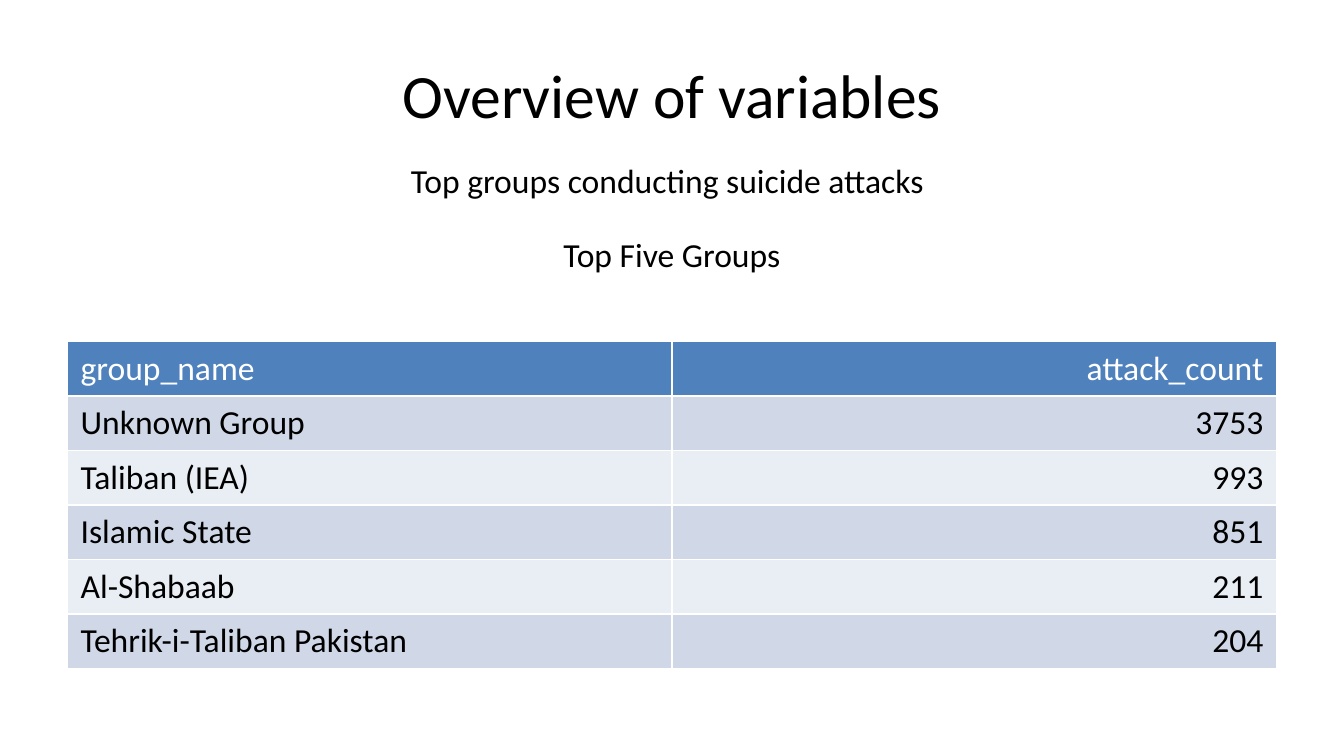
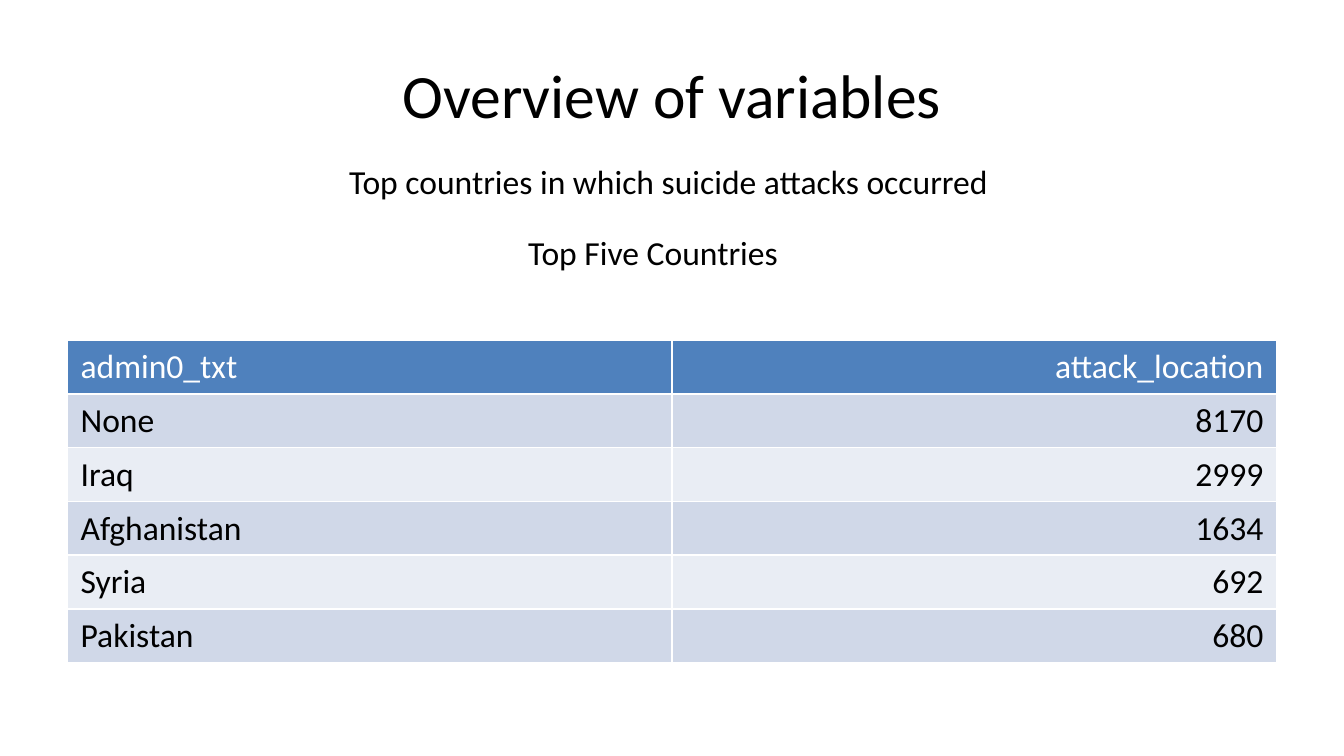
from dataclasses import dataclass

from lxml.etree import SubElement
from pptx import Presentation
from pptx.dml.color import RGBColor
from pptx.enum.text import MSO_ANCHOR as Anchor, MSO_AUTO_SIZE as AutoSize, PP_ALIGN as Align
from pptx.oxml.ns import qn
from pptx.slide import Slide
from pptx.table import _Cell as Cell
from pptx.text.text import TextFrame
from pptx.util import Emu, Pt

EMU_PER_PX = 4572  # 200 px to the inch


@dataclass(frozen=True)
class Theme:
    font: str = "Calibri"
    title_size: int = 33
    body_size: int = 18
    border_width: int = 1
    background: str = "FFFFFF"
    text: str = "000000"
    header_text: str = "FFFFFF"
    header_fill: str = "4F81BD"
    band_fills: tuple[str, str] = ("D0D8E8", "E9EDF4")
    border: str = "FFFFFF"


@dataclass(frozen=True)
class Box:
    left: int
    top: int
    width: int
    height: int

    def emu(self) -> tuple[Emu, Emu, Emu, Emu]:
        return px(self.left), px(self.top), px(self.width), px(self.height)


@dataclass(frozen=True)
class Label:
    text: str
    box: Box
    size: int
    align: Align = Align.CENTER
    anchor: Anchor = Anchor.TOP
    wrap: bool = True
    grow: bool = False


@dataclass(frozen=True)
class RankingSlide:
    subtitle: Label
    caption: Label
    table_box: Box
    rows: list[tuple[str, str]]


THEME = Theme()
TITLE = Label("Overview of variables", Box(100, 46, 1800, 188),
              THEME.title_size, anchor=Anchor.MIDDLE)

RANKINGS = [
    RankingSlide(
        Label("Top groups conducting suicide attacks", Box(592, 228, 814, 80),
              THEME.body_size, Align.LEFT, wrap=False, grow=True),
        Label("Top Five Groups", Box(100, 338, 1800, 112), THEME.body_size),
        Box(100, 508, 1800, 390),
        [("group_name", "attack_count"), ("Unknown Group", "3753"),
         ("Taliban (IEA)", "993"), ("Islamic State", "851"),
         ("Al-Shabaab", "211"), ("Tehrik-i-Taliban Pakistan", "204")],
    ),
    RankingSlide(
        Label("Top countries in which suicide attacks occurred", Box(500, 230, 1000, 80),
              THEME.body_size, Align.LEFT, grow=True),
        Label("Top Five Countries", Box(72, 336, 1800, 112), THEME.body_size),
        Box(100, 506, 1800, 390),
        [("admin0_txt", "attack_location"), ("None", "8170"), ("Iraq", "2999"),
         ("Afghanistan", "1634"), ("Syria", "692"), ("Pakistan", "680")],
    ),
]


def px(length: int) -> Emu:
    return Emu(length * EMU_PER_PX)


def write(frame: TextFrame, text: str, size: int, color: str, align: Align) -> None:
    paragraph = frame.paragraphs[0]
    paragraph.alignment = align
    run = paragraph.add_run()
    run.text = text
    run.font.name = THEME.font
    run.font.size = Pt(size)
    run.font.color.rgb = RGBColor.from_string(color)


def add_label(slide: Slide, label: Label) -> None:
    frame = slide.shapes.add_textbox(*label.box.emu()).text_frame
    frame.word_wrap = label.wrap
    frame.auto_size = AutoSize.SHAPE_TO_FIT_TEXT if label.grow else AutoSize.NONE
    frame.vertical_anchor = label.anchor
    write(frame, label.text, label.size, THEME.text, label.align)


def style_cell(cell: Cell, fill: str) -> None:
    """Borders go in before the fill, as the schema orders them."""
    properties = cell._tc.get_or_add_tcPr()
    for side in ("a:lnL", "a:lnR", "a:lnT", "a:lnB"):
        line = SubElement(properties, qn(side), w=str(Pt(THEME.border_width)))
        solid = SubElement(line, qn("a:solidFill"))
        SubElement(solid, qn("a:srgbClr"), val=THEME.border)
    cell.fill.solid()
    cell.fill.fore_color.rgb = RGBColor.from_string(fill)


def add_ranking_table(slide: Slide, box: Box, rows: list[tuple[str, str]]) -> None:
    table = slide.shapes.add_table(len(rows), len(rows[0]), *box.emu()).table
    for row_index, row in enumerate(rows):
        is_header = row_index == 0
        fill = THEME.header_fill if is_header else THEME.band_fills[(row_index - 1) % 2]
        color = THEME.header_text if is_header else THEME.text
        for column_index, (text, align) in enumerate(zip(row, (Align.LEFT, Align.RIGHT))):
            cell = table.cell(row_index, column_index)
            style_cell(cell, fill)
            write(cell.text_frame, text, THEME.body_size, color, align)


def add_ranking_slide(presentation: Presentation, ranking: RankingSlide) -> None:
    slide = presentation.slides.add_slide(presentation.slide_layouts[6])
    background = slide.background.fill
    background.solid()
    background.fore_color.rgb = RGBColor.from_string(THEME.background)
    add_label(slide, TITLE)
    add_ranking_table(slide, ranking.table_box, ranking.rows)
    add_label(slide, ranking.caption)
    add_label(slide, ranking.subtitle)


def main() -> None:
    presentation = Presentation()
    presentation.slide_width, presentation.slide_height = px(2000), px(1125)
    for ranking in RANKINGS:
        add_ranking_slide(presentation, ranking)
    presentation.save("out.pptx")


if __name__ == "__main__":
    main()
